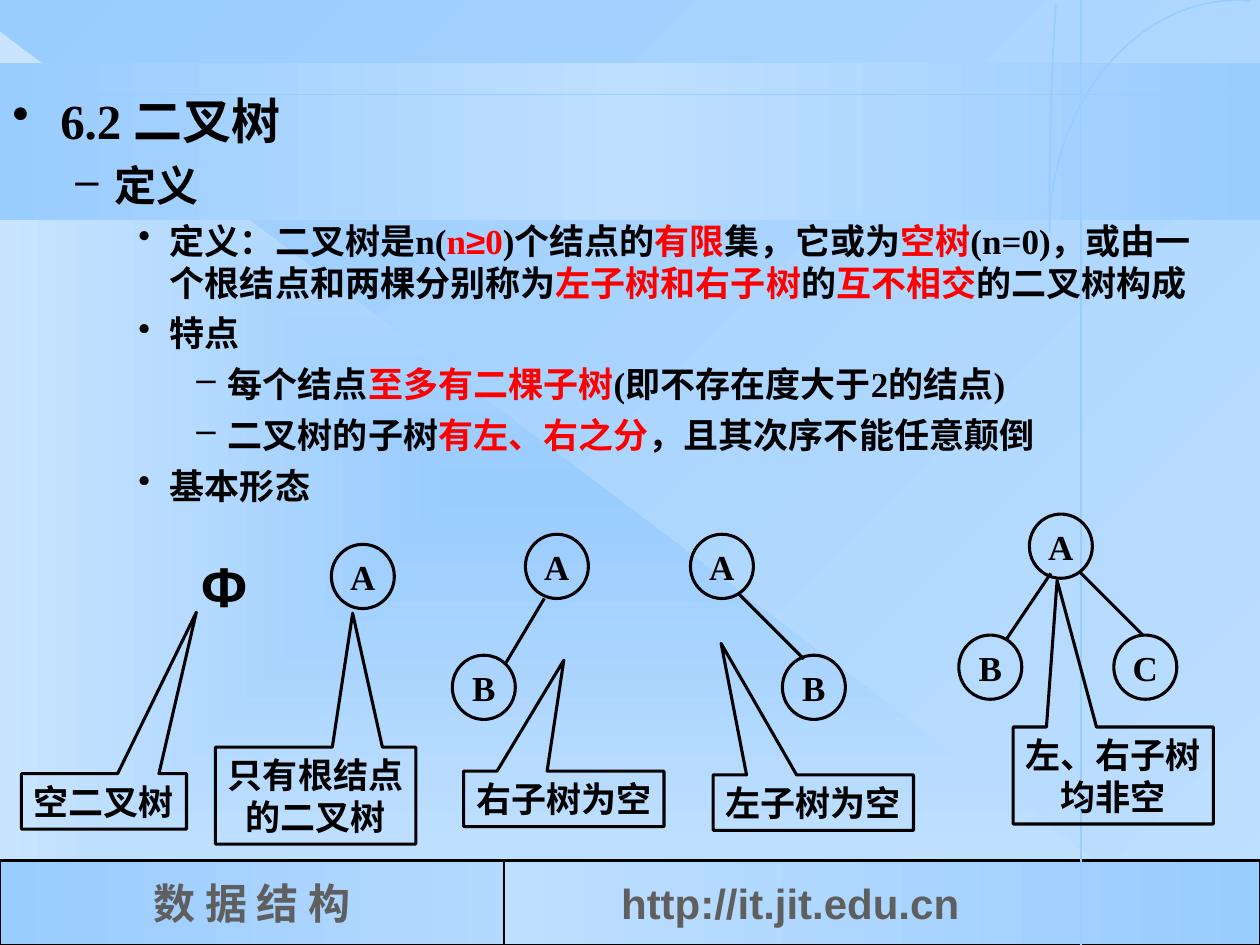
from typing import NamedTuple, Optional

from lxml.etree import SubElement
from pptx import Presentation
from pptx.dml.color import RGBColor
from pptx.enum.shapes import MSO_CONNECTOR as Link, MSO_SHAPE as Kind
from pptx.enum.text import MSO_ANCHOR as Anchor, PP_ALIGN as Align
from pptx.oxml.ns import qn
from pptx.util import Inches, Pt

COLS, ROWS = 100, 75
UNIT = Inches(10) / COLS


class Theme(NamedTuple):
    ink: str = "000000"
    red: str = "FF0000"
    gray: str = "5F5F5F"
    sky: str = "99CCFF"
    pale: str = "BEDFFF"
    mist: str = "C8E4FF"
    haze: str = "B4D9FF"
    serif: str = "Times New Roman"
    sans: str = "Arial"
    label: int = 20
    foot: int = 24
    empty: int = 32
    thin: float = 1
    edge: float = 1.5
    bold: float = 1.75


T = Theme()


class Box(NamedTuple):
    x: float
    y: float
    w: float
    h: float


class Level(NamedTuple):
    mark: str
    left: float
    hang: float
    gap: int
    size: int


class Form(NamedTuple):
    """One basic form: its nodes, its edges and the callout naming it."""
    nodes: tuple
    edges: tuple
    note: str
    box: Box
    tip: tuple


LEVELS = (Level("•", 3.8, 3.8, 7, 28), Level("–", 8.1, 3.1, 6, 24),
          Level("•", 12.5, 2.5, 5, 20), Level("–", 17.1, 2.5, 5, 20))

# Square brackets enclose the words set in red.
OUTLINE = (
    (0, "6.2 二叉树"),
    (1, "定义"),
    (2, "定义：二叉树是n([n≥0])个结点的[有限]集，它或为[空树](n=0)，或由一个根结点和"
        "两棵分别称为[左子树和右子树]的[互不相交]的二叉树构成"),
    (2, "特点"),
    (3, "每个结点[至多有二棵子树](即不存在度大于2的结点)"),
    (3, "二叉树的子树[有左、右之分]，且其次序不能任意颠倒"),
    (2, "基本形态"),
)

WIDE, ONE, TWO = 15.9, 4.4, 7.7
FORMS = (
    Form((), (), "空二叉树", Box(1.7, 61.4, 13.1, ONE), (0.56, -3.41)),
    Form((("A", 26.3, 43.2),), (), "只有根结点\n的二叉树",
         Box(17.1, 59.3, WIDE, TWO), (0.185, -1.88)),
    Form((("A", 41.7, 42.4), ("B", 35.9, 52)), ((43.2, 47.5, 40.1, 52.7),),
         "右子树为空", Box(36.8, 61.2, WIDE, ONE), (0, -2.5)),
    Form((("A", 54.8, 42.4), ("B", 62.1, 52)), ((58.6, 47.1, 63.8, 52.3),),
         "左子树为空", Box(56.6, 61.5, WIDE, ONE), (-0.46, -2.87)),
    Form((("A", 81.7, 40.8), ("B", 76.1, 50.4), ("C", 88.4, 50.4)),
         ((83.4, 45.5, 79.9, 50.7), (85.7, 45.4, 90.7, 50.4)),
         "左、右子树\n均非空", Box(80.4, 57.7, WIDE, TWO), (-0.28, -2.01)),
)


def span(*units: float) -> list:
    return [round(u * UNIT) for u in units]


def rgb(tint: str) -> RGBColor:
    return RGBColor.from_string(tint)


def blend(fill, root, tints: tuple, angle: Optional[int] = 0) -> None:
    """Fill with evenly spaced tints; no angle means a rectangular blend."""
    fill.gradient()
    grad = root.find(".//" + qn("a:gradFill"))
    for part in list(grad):
        grad.remove(part)
    stops = SubElement(grad, qn("a:gsLst"))
    for i, tint in enumerate(tints):
        stop = SubElement(stops, qn("a:gs"), pos=str(100000 * i // (len(tints) - 1)))
        SubElement(stop, qn("a:srgbClr"), val=tint)
    if angle is None:
        way = SubElement(grad, qn("a:path"), path="rect")
        SubElement(way, qn("a:fillToRect"), {side: "50000" for side in "ltrb"})
    else:
        SubElement(grad, qn("a:lin"), ang=str(angle * 60000), scaled="0")


def style(font, size: float, tint: str = T.ink, face: str = T.serif) -> None:
    font.size, font.bold, font.name = Pt(size), True, face
    font.color.rgb = rgb(tint)


def write(shape, text: str, size: float = T.label, tint: str = T.ink,
          face: str = T.serif, align=Align.CENTER) -> None:
    frame = shape.text_frame
    frame.text = text
    frame.word_wrap = False
    frame.vertical_anchor = Anchor.MIDDLE
    for para in frame.paragraphs:
        para.alignment = align
        for run in para.runs:
            style(run.font, size, tint, face)


def draw(slide, kind, box: Box, width: float = 0, tints: tuple = (),
         angle: Optional[int] = 0):
    shape = slide.shapes.add_shape(kind, *span(*box))
    shape.shadow.inherit = False
    if tints:
        blend(shape.fill, shape.element, tints, angle)
    else:
        shape.fill.background()
    if width:
        shape.line.color.rgb, shape.line.width = rgb(T.ink), Pt(width)
    else:
        shape.line.fill.background()
    return shape


def join(slide, ends: tuple, tint: str = T.ink, width: float = T.bold) -> None:
    line = slide.shapes.add_connector(Link.STRAIGHT, *span(*ends))
    line.line.color.rgb, line.line.width = rgb(tint), Pt(width)
    SubElement(line.element.spPr, qn("a:effectLst"))


def curve(knots: tuple, end: float = 1, steps: int = 40) -> list:
    """Points on a cubic Bezier curve, from its start to parameter end."""
    points = []
    for i in range(steps + 1):
        t = end * i / steps
        parts = ((1 - t) ** 3, 3 * t * (1 - t) ** 2, 3 * t * t * (1 - t), t ** 3)
        points.append(tuple(span(*(sum(p * k[axis] for p, k in zip(parts, knots))
                                   for axis in (0, 1)))))
    return points


def backdrop(slide) -> None:
    blend(slide.background.fill, slide.element, (T.sky, T.pale), 45)
    draw(slide, Kind.RIGHT_TRIANGLE, Box(0, 2.5, 95.8, 72.5), 0, (T.sky, T.mist), None)
    draw(slide, Kind.RECTANGLE, Box(0, 5, COLS, 12.5), 0, (T.sky, T.pale, T.sky))
    top, split = 68.3, 40
    name = draw(slide, Kind.RECTANGLE, Box(0, top, split, ROWS - top), T.edge,
                (T.sky, T.haze))
    write(name, "数 据 结 构", T.foot, T.gray)
    site = draw(slide, Kind.RECTANGLE, Box(split, top, COLS - split, ROWS - top),
                T.edge, (T.pale, T.sky))
    write(site, "http://it.jit.edu.cn", T.foot, T.gray, T.sans, Align.LEFT)
    site.text_frame.margin_left = span(9.3)[0]
    join(slide, (0, 7.5, COLS, 7.5), T.sky, T.thin)
    join(slide, (85.8, 0, 85.8, ROWS), T.sky, T.edge)
    arc = curve(((98.4, 0), (90.1, 0), (83.3, 8.2), (83.3, 18.4)))
    rise = curve(((83.3, 18.4), (83.3, -27.1), (90.1, -18.9), (98.4, -18.9)), 0.16)
    pen = slide.shapes.build_freeform(*span(99.3, 0.1))
    pen.add_line_segments(arc + rise[1:], close=False)
    sweep = pen.convert_to_shape()
    sweep.shadow.inherit = False
    sweep.fill.background()
    sweep.line.color.rgb, sweep.line.width = rgb(T.sky), Pt(T.thin)


def bullet(para, depth: int, first: bool) -> None:
    level = LEVELS[depth]
    para.level = depth
    para.space_before = Pt(0 if first else level.gap)
    props = para._p.get_or_add_pPr()
    left, hang = span(level.left, -level.hang)
    props.set("marL", str(left))
    props.set("indent", str(hang))
    SubElement(SubElement(props, qn("a:buClr")), qn("a:srgbClr"), val=T.ink)
    SubElement(props, qn("a:buChar"), char=level.mark)


def outline(slide) -> None:
    frame = slide.shapes.add_textbox(*span(0, 6.7, 97.5, 46.2)).text_frame
    frame.word_wrap = True
    for i, (depth, text) in enumerate(OUTLINE):
        para = frame.add_paragraph() if i else frame.paragraphs[0]
        bullet(para, depth, not i)
        for j, part in enumerate(text.replace("]", "[").split("[")):
            for piece in part.replace("≥", "|≥|").split("|"):
                if piece:
                    run = para.add_run()
                    run.text = piece
                    style(run.font, LEVELS[depth].size, T.red if j % 2 else T.ink,
                          T.sans if piece == "≥" else T.serif)


def show(slide, form: Form) -> None:
    for name, x, y in form.nodes:
        write(draw(slide, Kind.OVAL, Box(x, y, 5, 5.1), T.bold), name)
    for ends in form.edges:
        join(slide, ends)
    note = draw(slide, Kind.RECTANGULAR_CALLOUT, form.box, T.bold)
    note.adjustments[0], note.adjustments[1] = form.tip
    write(note, form.note)


def main() -> None:
    deck = Presentation()
    deck.slide_width, deck.slide_height = span(COLS, ROWS)
    slide = deck.slides.add_slide(deck.slide_layouts[6])
    backdrop(slide)
    outline(slide)
    write(slide.shapes.add_textbox(*span(15, 43.2, 5.4, 6.4)), "Φ", T.empty, face=T.sans)
    for form in FORMS:
        show(slide, form)
    deck.save("out.pptx")


if __name__ == "__main__":
    main()
